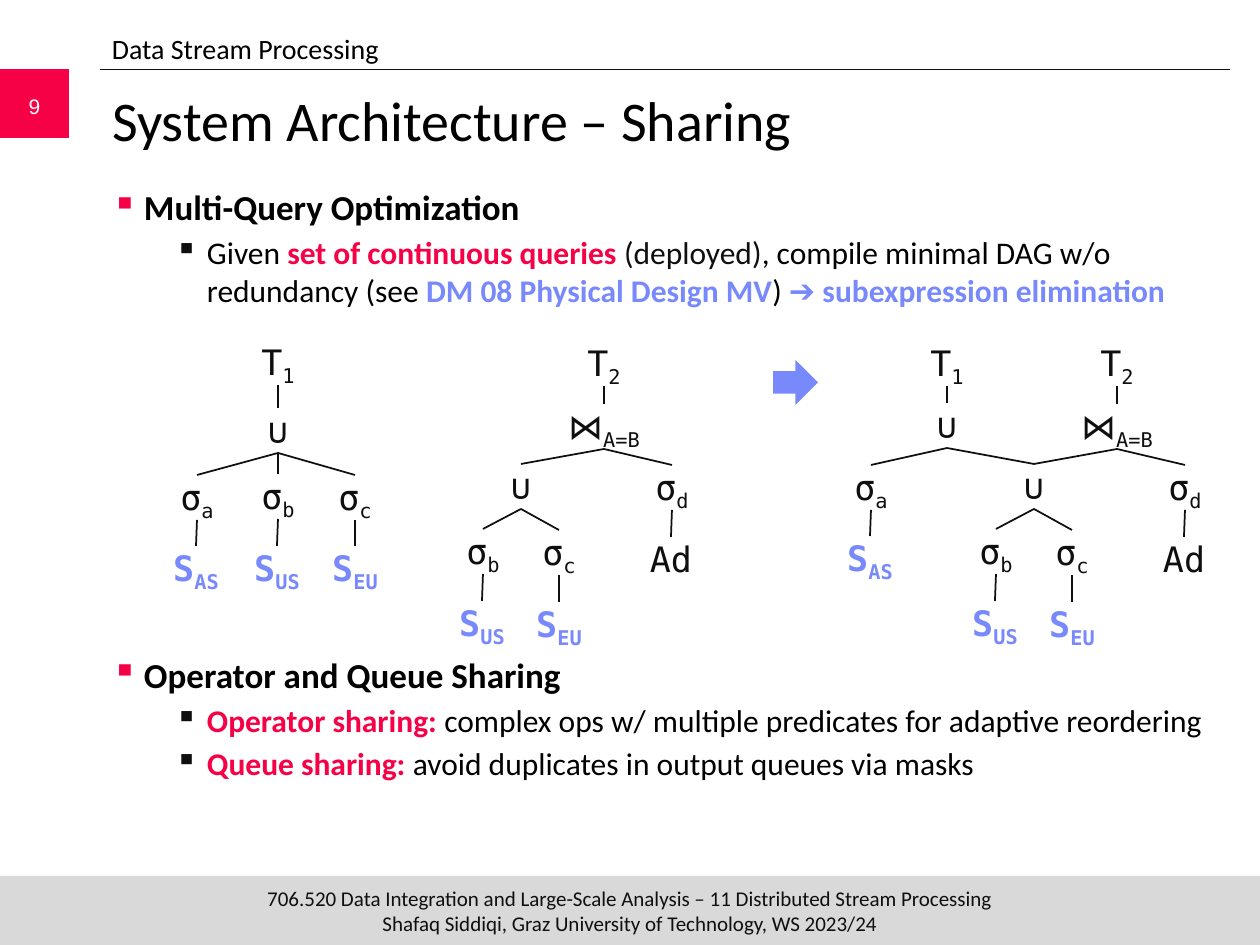
"""Build the slide on sharing in stream system architecture."""
from lxml.etree import SubElement
from pptx import Presentation
from pptx.dml.color import RGBColor
from pptx.enum.shapes import MSO_CONNECTOR as Link, MSO_SHAPE as Kind
from pptx.enum.text import MSO_ANCHOR as Anchor, MSO_AUTO_SIZE as Fit, PP_ALIGN as Align
from pptx.oxml.ns import qn
from pptx.util import Emu, Pt

SCALE = 914400 / 126
HEX = {"red": "F70146", "blue": "7889FB", "ink": "0F0F0F", "black": "000000",
       "gray": "D9D9D9", "white": "FFFFFF"}
SANS, MONO = "Calibri", "DejaVu Sans Mono"
HIGH = 45

BODY = [
    (0, 0, [("Multi-Query Optimization", "black", True)]),
    (1, 3, [("Given ", "black", False),
            ("set of continuous queries ", "red", True),
            ("(deployed)", "ink", False),
            (", compile minimal DAG w/o redundancy (see ", "black", False),
            ("DM 08 Physical Design MV", "blue", True),
            (") ", "black", False),
            ("➔ subexpression elimination", "blue", True)]),
    (0, 197, [("Operator and Queue Sharing", "black", True)]),
    (1, 3, [("Operator sharing: ", "red", True),
            ("complex ops w/ multiple predicates for adaptive reordering", "black", False)]),
    (1, 3, [("Queue sharing:", "red", True),
            (" avoid duplicates in output queues via masks", "black", False)]),
]
LEVELS = [(20, 32, "red"), (18, 95, "ink")]

UNION = {
    "T_1": (278, 340), "∪": (278, 408),
    "σ_a": (197, 475), "σ_b": (278, 474), "σ_c": (355, 475),
    "S_AS": (196, 546), "S_US": (277, 546), "S_EU": (355, 546),
}
JOIN = {
    "T_2": (604, 341), "⋈_A=B": (604, 404), "∪": (521, 464), "σ_d": (672, 465),
    "σ_b": (483, 529), "σ_c": (559, 530), "Ad": (671, 537),
    "S_US": (482, 601), "S_EU": (559, 602),
}
PART = {"T_1": (947, 341), "∪": (947, 403), "σ_a": (871, 465), "S_AS": (870, 536)}
EDGES = [("T_1", "∪"), ("T_2", "⋈_A=B"), ("⋈_A=B", "∪"), ("⋈_A=B", "σ_d"),
         ("∪", "σ_a"), ("∪", "σ_b"), ("∪", "σ_c"), ("σ_d", "Ad"),
         ("σ_a", "S_AS"), ("σ_b", "S_US"), ("σ_c", "S_EU")]
SHIFT = 513


def px(*nums):
    return [Emu(round(n * SCALE)) for n in nums]


def color(name):
    return RGBColor.from_string(HEX[name])


def style(run, size, tint, face=SANS, bold=False):
    font = run.font
    font.size, font.name, font.bold = Pt(size), face, bold
    font.color.rgb = color(tint)


def shape(kind, box, tint):
    item = slide.shapes.add_shape(kind, *px(*box))
    item.shadow.inherit = False
    item.fill.solid()
    item.fill.fore_color.rgb = color(tint)
    item.line.fill.background()


def line(shapes, ends, width):
    item = shapes.add_connector(Link.STRAIGHT, *px(*ends))
    item.line.color.rgb = color("ink")
    item.line.width = Pt(width)
    SubElement(item._element.spPr, qn("a:effectLst"))


def frame(shapes, box, pad=(13, 6, 13, 6)):
    text = shapes.add_textbox(*px(*box)).text_frame
    text.word_wrap = True
    (text.margin_left, text.margin_top,
     text.margin_right, text.margin_bottom) = px(*pad)
    return text


def label(box, words, size, tint, face=SANS, mid=False, **more):
    text = frame(slide.shapes, box, **more)
    para = text.paragraphs[0]
    para.text = words
    if mid:
        text.vertical_anchor, para.alignment = Anchor.MIDDLE, Align.CENTER
    for run in para.runs:
        style(run, size, tint, face)


def bullet(para, level, gap, parts):
    size, left, tint = LEVELS[level]
    para.level = level
    props = para._p.get_or_add_pPr()
    props.set("marL", str(px(left)[0]))
    props.set("indent", str(px(-32)[0]))
    SubElement(SubElement(props, qn("a:buClr")), qn("a:srgbClr")).set("val", HEX[tint])
    SubElement(props, qn("a:buChar")).set("char", "▪")
    para.space_before = Pt(gap)
    for words, hue, bold in parts:
        run = para.add_run()
        run.text = words
        style(run, size, hue, bold=bold)


def node(shapes, name, mid, top):
    wide = 126 if name[0] == "⋈" else 92
    text = frame(shapes, (mid - wide / 2, top, wide, HIGH), (13, 0, 13, 3))
    text.auto_size = Fit.SHAPE_TO_FIT_TEXT
    para = text.paragraphs[0]
    para.alignment = Align.CENTER
    source = name[0] == "S"
    for i, words in enumerate(name.split("_")):
        run = para.add_run()
        run.text = words
        style(run, 20, "blue" if source else "ink", SANS if words == "⋈" else MONO, source)
        if i:
            run._r.get_or_add_rPr().set("baseline", "-25000")


def edge(shapes, start, end):
    line(shapes, (start[0], start[1] + HIGH, *end), 1)


def tree(shapes, nodes):
    for name, spot in nodes.items():
        node(shapes, name, *spot)
    for start, end in EDGES:
        if start in nodes and end in nodes:
            edge(shapes, nodes[start], nodes[end])


deck = Presentation()
deck.slide_width, deck.slide_height = px(1260, 945)
slide = deck.slides.add_slide(deck.slide_layouts[6])

shape(Kind.RECTANGLE, (0, 876, 1260, 69), "gray")
line(slide.shapes, (100, 69, 1230, 69), 0.5)
shape(Kind.RECTANGLE, (0, 69, 69, 69), "red")
label((0, 81, 69, 50), "9", 12, "white", "Arial", mid=True)
label((0, 876, 1260, 69),
      "706.520 Data Integration and Large-Scale Analysis – 11 Distributed Stream Processing\v"
      "Shafaq Siddiqi, Graz University of Technology, WS 2023/24",
      12, "ink", mid=True, pad=(0, 0, 0, 0))
label((99, 79, 1129, 105), "System Architecture – Sharing", 32, "black")
label((99, 26, 1134, 45), "Data Stream Processing", 16, "black")

body = frame(slide.shapes, (99, 180, 1160, 680))
for i, row in enumerate(BODY):
    bullet(body.add_paragraph() if i else body.paragraphs[0], *row)

shape(Kind.RIGHT_ARROW, (773, 360, 45, 45), "blue")
moved = {name: (x + SHIFT, y) for name, (x, y) in JOIN.items()}
for group in ([UNION], [JOIN], [moved, PART]):
    shapes = slide.shapes.add_group_shape().shapes
    for nodes in group:
        tree(shapes, nodes)
edge(shapes, PART["∪"], moved["∪"])

deck.save("out.pptx")
